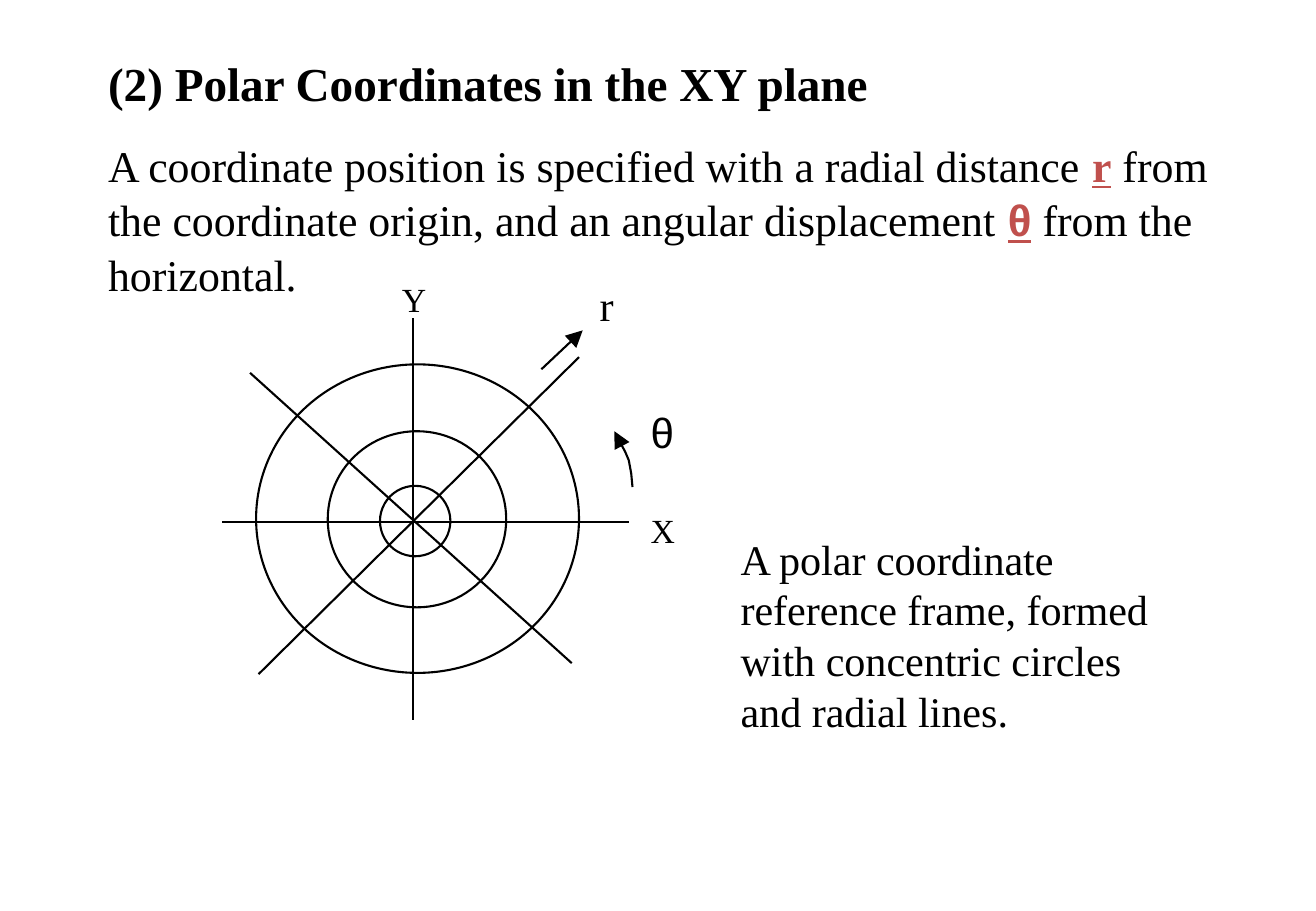
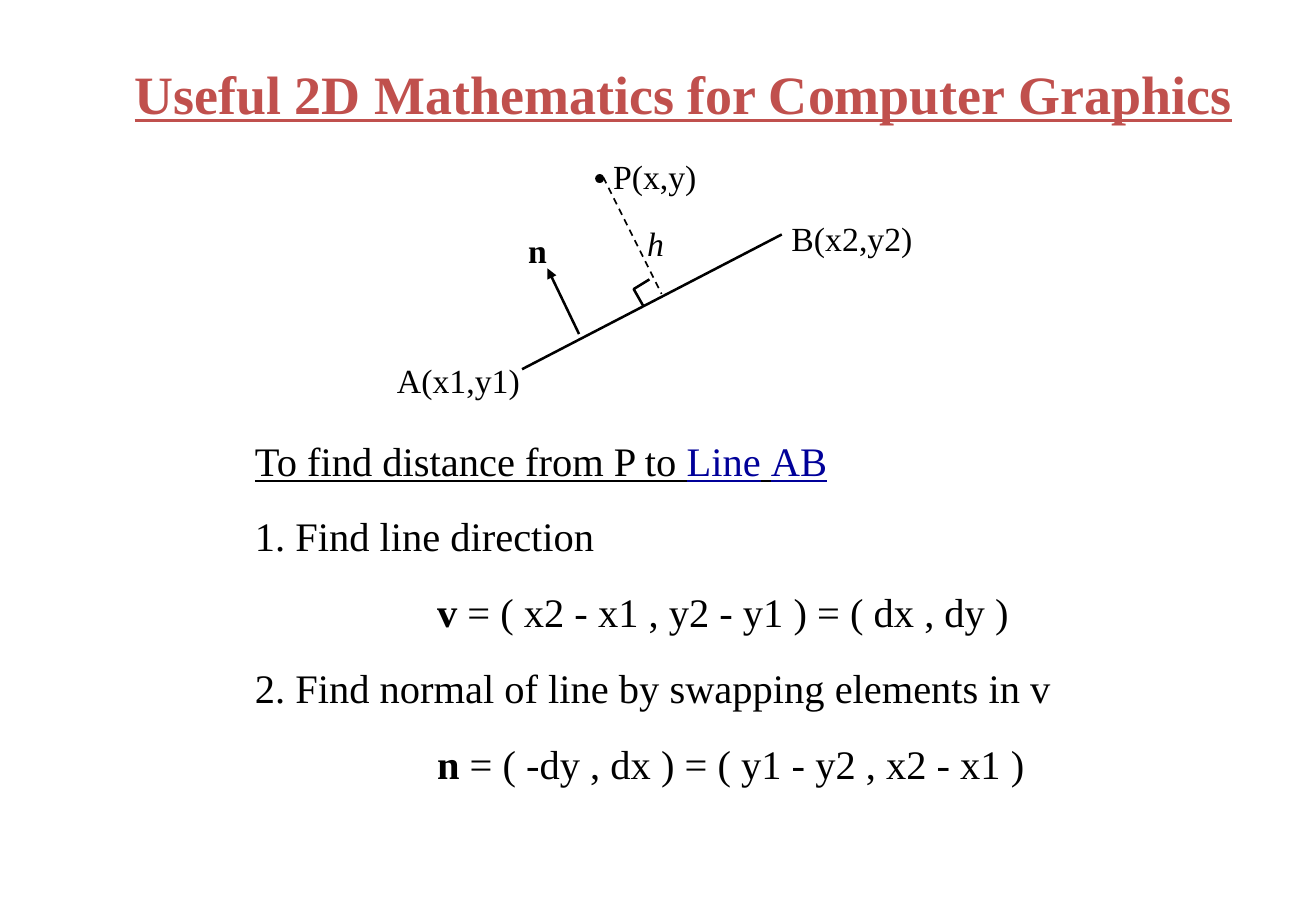
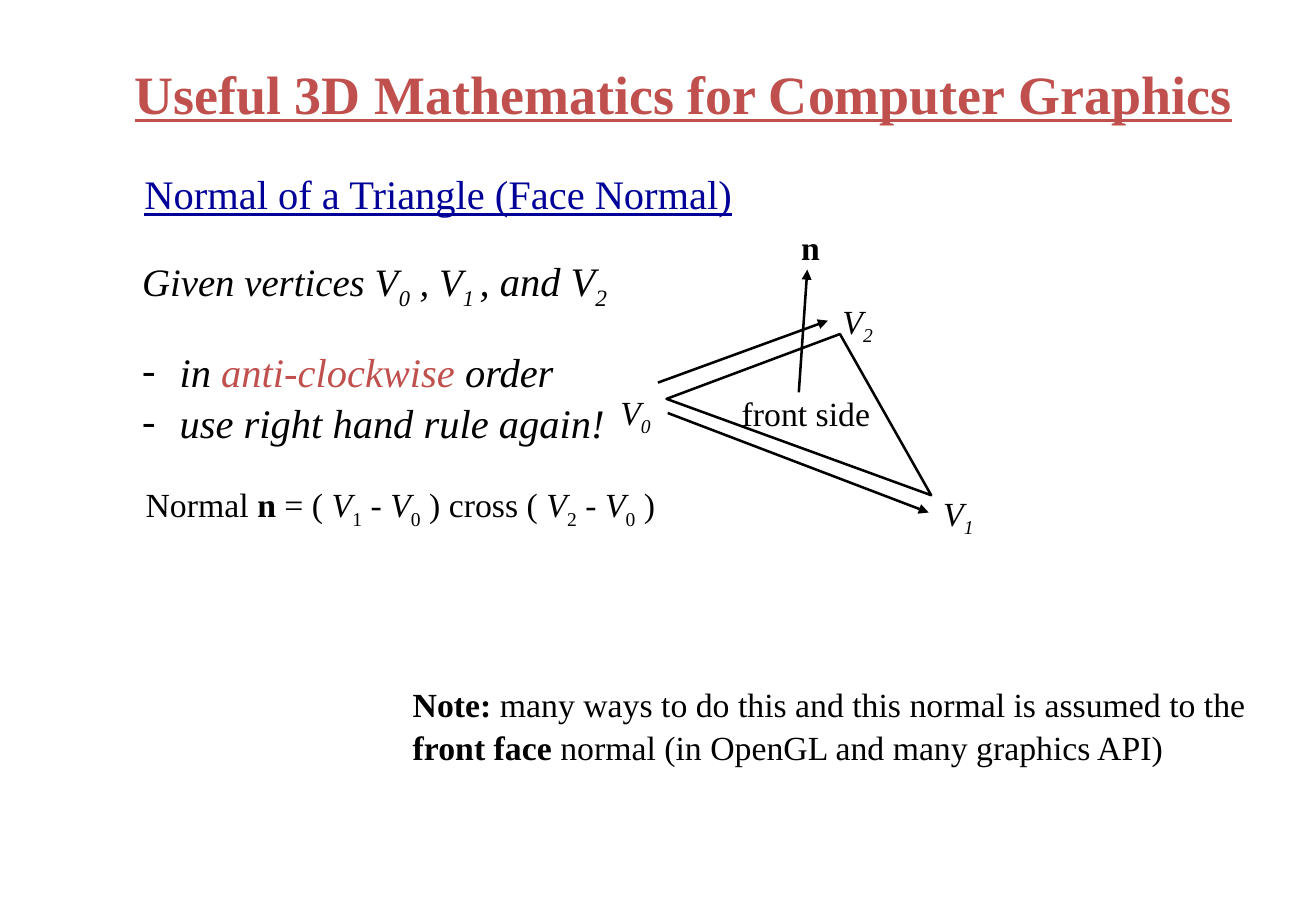
from dataclasses import dataclass
from typing import Optional, Sequence

from lxml.etree import SubElement
from pptx import Presentation
from pptx.dml.color import RGBColor
from pptx.enum.dml import MSO_LINE
from pptx.enum.shapes import MSO_CONNECTOR, MSO_SHAPE
from pptx.enum.text import MSO_ANCHOR, MSO_AUTO_SIZE, PP_ALIGN
from pptx.oxml.ns import qn
from pptx.util import Inches, Pt


@dataclass(frozen=True)
class Theme:
    ink: RGBColor = RGBColor(0x00, 0x00, 0x00)
    paper: RGBColor = RGBColor(0xFF, 0xFF, 0xFF)
    accent: RGBColor = RGBColor(0xC0, 0x50, 0x4D)
    link: RGBColor = RGBColor(0x00, 0x00, 0x99)
    serif: str = "Times New Roman"
    sans: str = "Arial"
    title: float = 32
    subtitle: float = 28
    lead: float = 26
    polar: float = 25
    body: float = 24
    given: float = 23
    label: float = 20
    line_spacing: float = 1.04
    thin: float = 1
    grid: float = 1.25
    stroke: float = 1.5


THEME = Theme()


@dataclass(frozen=True)
class Span:
    text: str
    bold: bool = False
    italic: bool = False
    underline: bool = False
    subscript: bool = False
    color: RGBColor = THEME.ink
    font: str = THEME.serif
    size: Optional[float] = None


@dataclass(frozen=True)
class Para:
    spans: Sequence[Span]
    before: float = 0
    indent: float = 0
    bullet: str = ""


@dataclass(frozen=True)
class Label:
    left: float
    top: float
    spans: Sequence[Span]
    size: float = THEME.label


@dataclass(frozen=True)
class Stroke:
    start: tuple[float, float]
    end: tuple[float, float]
    arrow: str = ""
    dashed: bool = False
    width: float = THEME.stroke


def vertex(index: str) -> list[Span]:
    """Spans for an italic V with its subscript."""
    return [Span("V", italic=True), Span(index, italic=True, subscript=True)]


def fill_frame(frame, paras: Sequence[Para], size: float, wrap: bool = True,
               spacing: float = THEME.line_spacing) -> None:
    """Write formatted paragraphs into a frame without margins."""
    frame.margin_left = frame.margin_right = 0
    frame.margin_top = frame.margin_bottom = 0
    frame.vertical_anchor = MSO_ANCHOR.TOP
    frame.auto_size = MSO_AUTO_SIZE.NONE
    frame.word_wrap = wrap
    for number, para in enumerate(paras):
        paragraph = frame.add_paragraph() if number else frame.paragraphs[0]
        set_bullet(paragraph, para)
        paragraph.alignment = PP_ALIGN.LEFT
        paragraph.line_spacing = spacing
        paragraph.space_before = Pt(para.before)
        for span in para.spans:
            add_span(paragraph, span, size)


def set_bullet(paragraph, para: Para) -> None:
    properties = paragraph._p.get_or_add_pPr()
    indent = Inches(para.indent)
    properties.set("marL", str(indent))
    properties.set("indent", str(-indent if para.bullet else 0))
    if para.bullet:
        SubElement(properties, qn("a:buFont"), typeface=THEME.serif)
        SubElement(properties, qn("a:buChar"), char=para.bullet)
    else:
        SubElement(properties, qn("a:buNone"))


def add_span(paragraph, span: Span, size: float) -> None:
    run = paragraph.add_run()
    run.text = span.text
    font = run.font
    font.name = span.font
    font.size = Pt(span.size or size)
    font.bold = span.bold
    font.italic = span.italic
    font.underline = span.underline
    font.color.rgb = span.color
    if span.subscript:
        run._r.get_or_add_rPr().set("baseline", "-25000")


def place(shape, left: float, top: float, width: float, height: float) -> None:
    shape.left, shape.top = Inches(left), Inches(top)
    shape.width, shape.height = Inches(width), Inches(height)


def add_title(slide, text: str) -> None:
    """Underlined accent title shared by the mathematics slides."""
    place(slide.shapes.title, 1.11, 0.48, 9.29, 0.54)
    title = Span(text, bold=True, underline=True, color=THEME.accent)
    fill_frame(slide.shapes.title.text_frame, [Para([title])], THEME.title)


def add_body(slide, box: tuple[float, float, float, float],
             paras: Sequence[Para], size: float) -> None:
    body = slide.placeholders[1]
    place(body, *box)
    fill_frame(body.text_frame, paras, size)


def add_text(slide, box: tuple[float, float, float, float],
             paras: Sequence[Para], size: float, wrap: bool = True,
             spacing: float = THEME.line_spacing) -> None:
    text_box = slide.shapes.add_textbox(*map(Inches, box))
    fill_frame(text_box.text_frame, paras, size, wrap, spacing)


def add_labels(slide, labels: Sequence[Label]) -> None:
    for label in labels:
        width = 0.15 * sum(len(span.text) for span in label.spans)
        add_text(slide, (label.left, label.top, width, 0.36),
                 [Para(label.spans)], label.size, wrap=False)


def add_arrowhead(line, size: str) -> None:
    SubElement(line._get_or_add_ln(), qn("a:tailEnd"),
               type="triangle", w=size, len=size)


def add_strokes(slide, strokes: Sequence[Stroke]) -> None:
    for stroke in strokes:
        connector = slide.shapes.add_connector(
            MSO_CONNECTOR.STRAIGHT, *map(Inches, stroke.start + stroke.end))
        SubElement(connector._element.spPr, qn("a:effectLst"))
        connector.line.color.rgb = THEME.ink
        connector.line.width = Pt(stroke.width)
        if stroke.dashed:
            connector.line.dash_style = MSO_LINE.DASH
        if stroke.arrow:
            add_arrowhead(connector.line, stroke.arrow)


def add_outline(slide, points: Sequence[tuple[float, float]],
                width: float, arrow: str = "") -> None:
    """Draw an open, unfilled polyline."""
    corners = [(Inches(x), Inches(y)) for x, y in points]
    builder = slide.shapes.build_freeform(*corners[0])
    builder.add_line_segments(corners[1:], close=False)
    outline = builder.convert_to_shape()
    outline.shadow.inherit = False
    outline.fill.background()
    outline.line.color.rgb = THEME.ink
    outline.line.width = Pt(width)
    if arrow:
        add_arrowhead(outline.line, arrow)


def add_figure(slide, kind: MSO_SHAPE, box: tuple[float, float, float, float],
               fill: RGBColor, width: float, rotation: float = 0) -> None:
    figure = slide.shapes.add_shape(kind, *map(Inches, box))
    figure.shadow.inherit = False
    figure.rotation = rotation
    figure.fill.solid()
    figure.fill.fore_color.rgb = fill
    figure.line.color.rgb = THEME.ink
    figure.line.width = Pt(width)


def build_polar(slide) -> None:
    place(slide.shapes.title, 0.89, 0.43, 9.37, 0.5)
    heading = Span("(2) Polar Coordinates in the XY plane", bold=True)
    fill_frame(slide.shapes.title.text_frame, [Para([heading])],
               THEME.subtitle)
    key = {"bold": True, "underline": True, "color": THEME.accent}
    add_body(slide, (0.89, 1.12, 9.37, 1.35), [Para([
        Span("A coordinate position is specified with a radial distance "),
        Span("r", **key),
        Span(" from the coordinate origin, and an angular displacement "),
        Span("θ", font=THEME.sans, **key),
        Span(" from the horizontal."),
    ])], THEME.lead)

    for circle in ((2.11, 3, 2.66, 2.54), (2.7, 3.55, 1.47, 1.45),
                   (3.13, 4, 0.58, 0.58)):
        add_figure(slide, MSO_SHAPE.OVAL, circle, THEME.paper, THEME.grid)
    add_strokes(slide, [
        Stroke((1.83, 4.3), (5.18, 4.3), width=THEME.grid),
        Stroke((3.4, 2.62), (3.4, 5.93), width=THEME.grid),
        Stroke((4.77, 2.94), (2.13, 5.55), width=THEME.grid),
        Stroke((2.06, 3.07), (4.71, 5.46), width=THEME.grid),
        Stroke((4.46, 3.04), (4.8, 2.72), arrow="lg", width=THEME.grid),
    ])
    add_outline(slide, [(5.21, 4.01), (5.2, 3.9), (5.18, 3.79),
                        (5.15, 3.72), (5.06, 3.55)], THEME.grid, arrow="lg")
    add_labels(slide, [
        Label(5.36, 4.18, [Span("X")]),
        Label(3.31, 2.28, [Span("Y")]),
        Label(4.94, 2.28, [Span("r")], THEME.polar),
        Label(5.36, 3.33, [Span("θ", font=THEME.sans)], THEME.polar),
    ])
    caption = ("A polar coordinate reference frame, formed "
               "with concentric circles and radial lines.")
    add_text(slide, (6.1, 4.39, 3.45, 1.6), [Para([Span(caption)])],
             THEME.polar, spacing=1.0)


def build_distance(slide) -> None:
    add_title(slide, "Useful 2D Mathematics for Computer Graphics")
    add_figure(slide, MSO_SHAPE.OVAL, (4.91, 1.44, 0.06, 0.06),
               THEME.ink, THEME.thin)
    add_strokes(slide, [
        Stroke((6.44, 1.93), (4.3, 3.04)),
        Stroke((4.97, 1.46), (5.45, 2.42), dashed=True, width=THEME.thin),
        Stroke((4.77, 2.75), (4.51, 2.21), arrow="med"),
    ])
    add_outline(slide, [(5.3, 2.52), (5.22, 2.38), (5.35, 2.3)], THEME.stroke)
    add_labels(slide, [
        Label(5.33, 1.82, [Span("h", italic=True)]),
        Label(3.27, 2.95, [Span("A(x1,y1)")]),
        Label(6.52, 1.78, [Span("B(x2,y2)")]),
        Label(5.05, 1.27, [Span("P(x,y)")]),
        Label(4.35, 1.88, [Span("n", bold=True)]),
    ])
    gap, formula_indent = 15, 1.5
    add_body(slide, (2.1, 3.57, 7.13, 2.84), [
        Para([Span("To find distance from P to ", underline=True),
              Span("Line", underline=True, color=THEME.link),
              Span(" ", underline=True),
              Span("AB", underline=True, color=THEME.link)]),
        Para([Span("1. Find line direction")], gap),
        Para([Span("v", bold=True),
              Span(" = ( x2 - x1 , y2 - y1 ) = ( dx , dy )")],
             gap, formula_indent),
        Para([Span("2. Find normal of line by swapping elements in v")], gap),
        Para([Span("n", bold=True),
              Span(" = ( -dy , dx ) = ( y1 - y2 , x2 - x1 )")],
             gap, formula_indent),
    ], THEME.body)


def build_normal(slide) -> None:
    add_title(slide, "Useful 3D Mathematics for Computer Graphics")
    heading = Span("Normal of a Triangle (Face Normal)", underline=True,
                   color=THEME.link)
    add_text(slide, (1.19, 1.38, 6.55, 0.4), [Para([heading])], THEME.body)
    dash = {"indent": 0.31, "bullet": "-"}
    add_body(slide, (1.17, 2.09, 4.2, 1.6), [
        Para([Span("Given vertices V", italic=True, size=THEME.given),
              Span("0", italic=True, subscript=True, size=THEME.given),
              Span(" , V", italic=True, size=THEME.given),
              Span("1 ", italic=True, subscript=True, size=THEME.given),
              Span(", and V", italic=True),
              Span("2", italic=True, subscript=True)]),
        Para([Span("in ", italic=True),
              Span("anti-clockwise", italic=True, color=THEME.accent),
              Span(" order", italic=True)], before=20, **dash),
        Para([Span("use right hand rule again!", italic=True)], **dash),
    ], THEME.body)

    add_figure(slide, MSO_SHAPE.ISOSCELES_TRIANGLE, (5.59, 2.72, 2.32, 0.99),
               THEME.paper, THEME.stroke, rotation=20)
    add_strokes(slide, [
        Stroke((6.58, 3.23), (6.65, 2.22), arrow="med"),
        Stroke((5.5, 3.4), (7.65, 4.22), arrow="med"),
        Stroke((5.42, 3.15), (6.82, 2.64), arrow="med"),
    ])

    def difference(end: str) -> list[Span]:
        return [Span("V", italic=True), Span(end, subscript=True),
                Span(" - "), Span("V", italic=True),
                Span("0", subscript=True)]

    add_labels(slide, [
        Label(1.2, 3.97, [Span("Normal "), Span("n", bold=True),
                          Span(" = ( "), *difference("1"),
                          Span(" ) cross ( "), *difference("2"),
                          Span(" )")]),
        Label(5.11, 3.21, vertex("0")),
        Label(7.77, 4.04, vertex("1")),
        Label(6.94, 2.46, vertex("2")),
        Label(6.6, 1.85, [Span("n", bold=True)]),
        Label(6.11, 3.22, [Span("front side")]),
    ])
    add_text(slide, (3.4, 5.62, 6.93, 0.67), [
        Para([Span("Note: ", bold=True),
              Span("many ways to do this and this normal is assumed to the")]),
        Para([Span("front face ", bold=True),
              Span("normal (in OpenGL and many graphics API)")]),
    ], THEME.label, wrap=False)


def main() -> None:
    deck = Presentation()
    deck.slide_width, deck.slide_height = Inches(10.84), Inches(7.5)
    title_and_content = deck.slide_layouts[1]
    for build in (build_polar, build_distance, build_normal):
        build(deck.slides.add_slide(title_and_content))
    deck.save("out.pptx")


if __name__ == "__main__":
    main()
